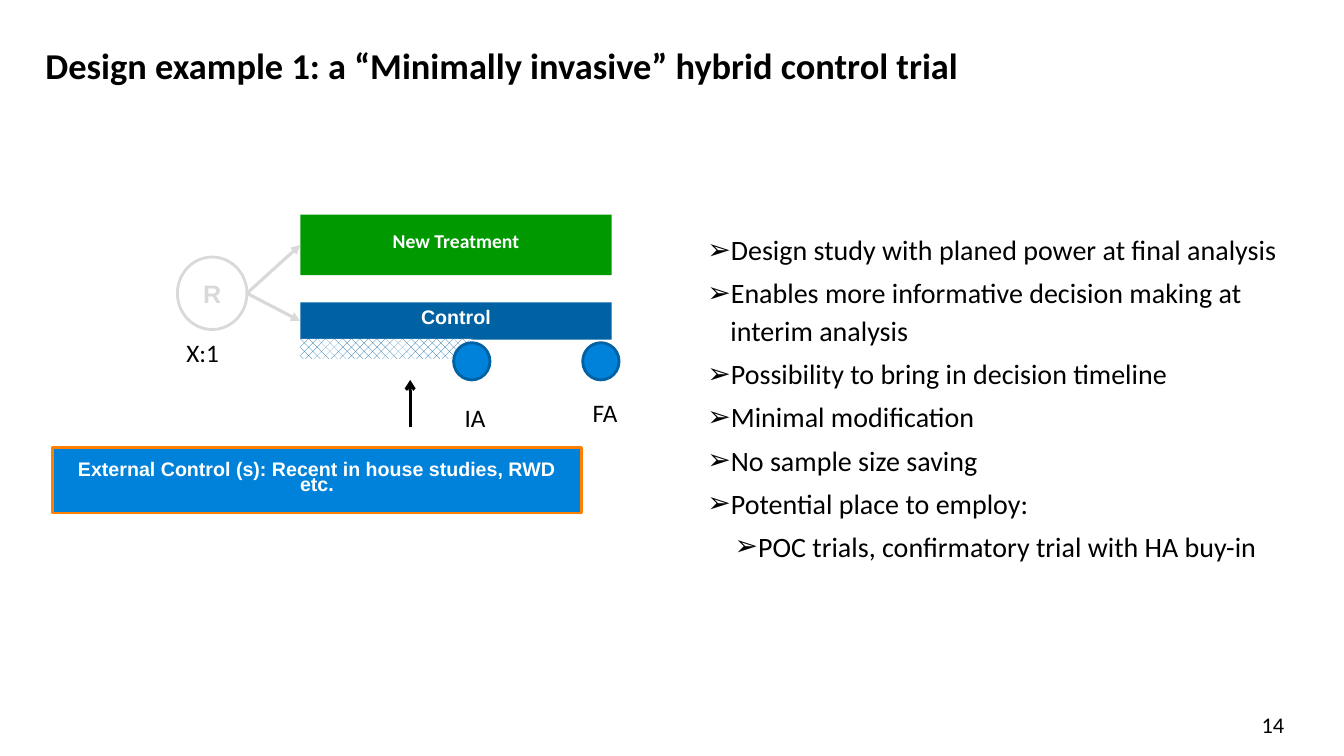
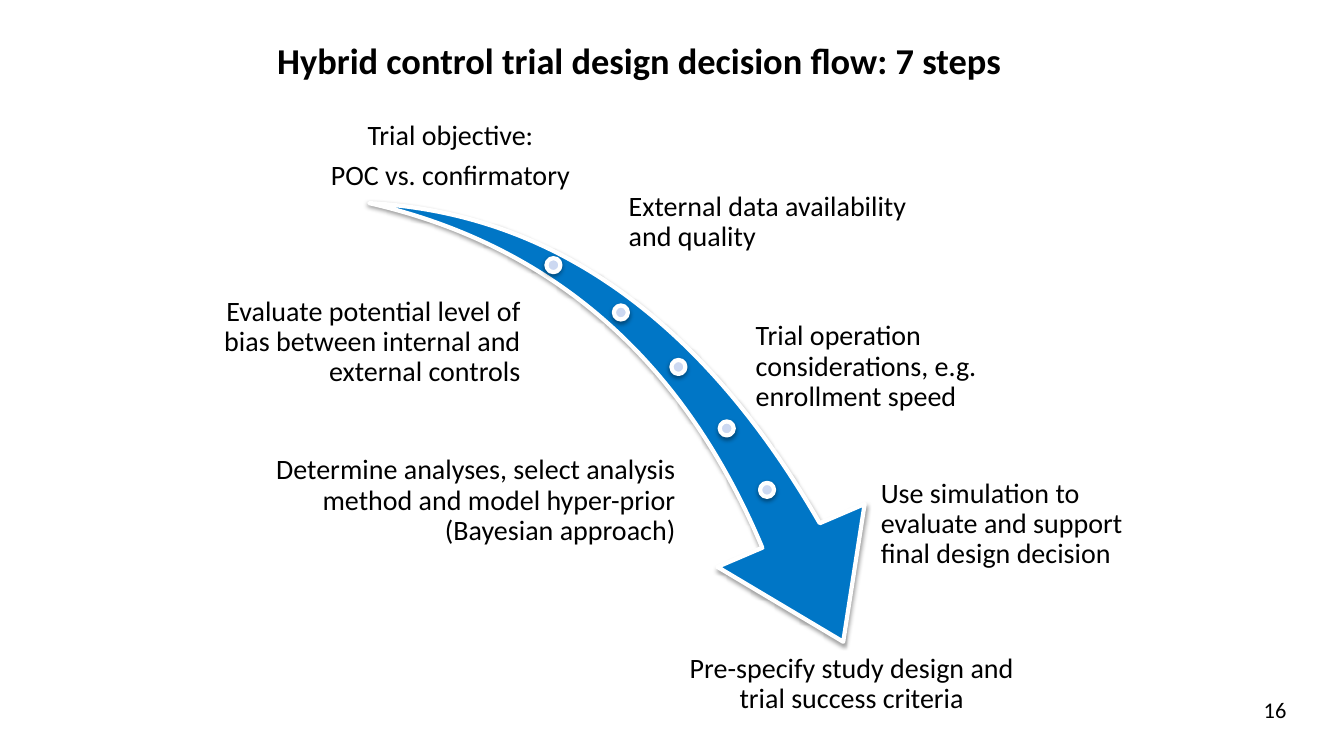
from lxml import etree
from pptx import Presentation
from pptx.dml.color import RGBColor
from pptx.enum.dml import MSO_PATTERN
from pptx.enum.shapes import MSO_CONNECTOR, MSO_SHAPE
from pptx.enum.text import MSO_ANCHOR, PP_ALIGN
from pptx.oxml.ns import qn
from pptx.util import Pt

RECT, ELLIPSE, SWOOSH = MSO_SHAPE.RECTANGLE, MSO_SHAPE.OVAL, MSO_SHAPE.SWOOSH_ARROW
STRAIGHT = MSO_CONNECTOR.STRAIGHT
LEFT, CENTER, RIGHT = PP_ALIGN.LEFT, PP_ALIGN.CENTER, PP_ALIGN.RIGHT
TOP, MIDDLE, BOTTOM = MSO_ANCHOR.TOP, MSO_ANCHOR.MIDDLE, MSO_ANCHOR.BOTTOM
HATCH = MSO_PATTERN.from_xml("pct40")
LEFT_SIDE = 1

BLACK = RGBColor(0x00, 0x00, 0x00)
WHITE = RGBColor(0xFF, 0xFF, 0xFF)
PALE_GRAY = RGBColor(0xD9, 0xD9, 0xD9)
GREEN = RGBColor(0x00, 0x99, 0x00)
DARK_BLUE = RGBColor(0x00, 0x61, 0xA3)
BRIGHT_BLUE = RGBColor(0x00, 0x82, 0xDA)
SWOOSH_BLUE = RGBColor(0x00, 0x76, 0xC6)
DOT_BLUE = RGBColor(0xCC, 0xD8, 0xF1)
ORANGE = RGBColor(0xFF, 0x7F, 0x00)

TITLE_FONT = {"name": "Calibri", "size": Pt(26), "bold": True}
BODY_FONT = {"name": "Calibri", "size": Pt(20)}
LABEL_FONT = {"name": "Calibri", "size": Pt(18)}
NUMBER_FONT = {"name": "Calibri", "size": Pt(16)}
CIRCLE_FONT = {"name": "Arial", "size": Pt(18), "bold": True}
BAR_FONT = {"name": "Arial", "size": Pt(14), "bold": True}
TREATMENT_FONT = {**BAR_FONT, "name": "Calibri"}

BAR_PARAGRAPH = {"alignment": CENTER, "line_spacing": Pt(11)}
BULLET_PARAGRAPH = {"line_spacing": 1.12}
STEP_PARAGRAPH = {"line_spacing": 0.9, "space_after": Pt(7)}

BULLET_HANG = 16.5
BULLET_LEFT = (16.5, 36)

BENEFITS = [
    ("Design study with planed power at final analysis", 0),
    ("Enables more informative decision making at interim analysis", 0),
    ("Possibility to bring in decision timeline", 0),
    ("Minimal modification", 0),
    ("No sample size saving", 0),
    ("Potential place to employ:", 0),
    ("POC trials, confirmatory trial with HA buy-in", 1),
]

# paragraphs, left, top, width, height, alignment, anchor
STEPS = [
    (["Trial objective:", "POC vs. confirmatory"], 228.2, 65.5, 187.2, 73.4, CENTER, BOTTOM),
    (["External data availability and quality"], 447.1, 122.4, 204.5, 73.4, LEFT, MIDDLE),
    (["Evaluate potential level of bias between internal and external controls"],
     134, 208, 239.8, 73.4, RIGHT, MIDDLE),
    (["Trial operation considerations, e.g. enrollment speed"],
     537.8, 225.4, 198, 73.4, LEFT, MIDDLE),
    (["Determine analyses, select analysis method and model hyper-prior (Bayesian approach)"],
     185, 321.1, 299.5, 73.4, RIGHT, MIDDLE),
    (["Use simulation to evaluate and support final design decision"],
     627.1, 337.7, 186.5, 73.4, LEFT, MIDDLE),
    (["Pre-specify study design and trial success criteria"],
     481.7, 465.1, 253.4, 48.2, CENTER, TOP),
]

DOT_SIZE = 10
DOT_CENTERS = [(395.3, 189.4), (443.5, 223.2), (484.6, 262.1), (519.1, 306), (547.9, 349.9)]


def apply_format(target, values):
    for attribute, value in values.items():
        setattr(target, attribute, value)


def write_text(shape, texts, font, color=BLACK, paragraph_format=None,
               anchor=TOP, inset_x=7.2, inset_y=3.6):
    """Write one paragraph per text and return the paragraphs."""
    frame = shape.text_frame
    apply_format(frame, {
        "word_wrap": True, "vertical_anchor": anchor,
        "margin_left": Pt(inset_x), "margin_right": Pt(inset_x),
        "margin_top": Pt(inset_y), "margin_bottom": Pt(inset_y),
    })
    for index, text in enumerate(texts):
        paragraph = frame.add_paragraph() if index else frame.paragraphs[0]
        run = paragraph.add_run()
        run.text = text
        apply_format(paragraph, paragraph_format or {})
        apply_format(run.font, font)
        run.font.color.rgb = color
    return frame.paragraphs


def add_text(slide, box, texts, font, **options):
    text_box = slide.shapes.add_textbox(*map(Pt, box))
    return write_text(text_box, texts, font, **options)


def add_figure(slide, preset, box, fill=None, outline=None, outline_width=2):
    figure = slide.shapes.add_shape(preset, *map(Pt, box))
    figure.shadow.inherit = False
    if fill is None:
        figure.fill.background()
    else:
        figure.fill.solid()
        figure.fill.fore_color.rgb = fill
    if outline is None:
        figure.line.fill.background()
    else:
        figure.line.color.rgb = outline
        figure.line.width = Pt(outline_width)
    return figure


def add_bar(slide, box, text, fill, font=BAR_FONT, outline=None):
    bar = add_figure(slide, RECT, box, fill, outline)
    write_text(bar, [text], font, WHITE, BAR_PARAGRAPH, MIDDLE)
    return bar


def add_arrow(slide, start, end, color, head, target=None):
    arrow = slide.shapes.add_connector(STRAIGHT, *map(Pt, (*start, *end)))
    if target is not None:
        arrow.end_connect(target, LEFT_SIDE)
    arrow.line.color.rgb = color
    arrow.line.width = Pt(2.25)
    properties = arrow._element.spPr
    etree.SubElement(properties.find(qn("a:ln")), qn("a:tailEnd"), type=head)
    etree.SubElement(properties, qn("a:effectLst"))


def add_soft_shadow(figure):
    effects = figure._element.spPr.find(qn("a:effectLst"))
    shadow = etree.SubElement(
        effects, qn("a:outerShdw"), blurRad=str(Pt(3.1)), dist=str(Pt(1.6)),
        dir="5400000", rotWithShape="0")
    shade = etree.SubElement(shadow, qn("a:srgbClr"), val=str(BLACK))
    etree.SubElement(shade, qn("a:alpha"), val="38000")


def add_bullet(paragraph, level):
    properties = paragraph._p.get_or_add_pPr()
    properties.set("marL", str(Pt(BULLET_LEFT[level])))
    properties.set("indent", str(Pt(-BULLET_HANG)))
    etree.SubElement(properties, qn("a:buFont"), typeface="Arial")
    etree.SubElement(properties, qn("a:buChar"), char="➢")


def add_titled_slide(deck, title, title_box, number, number_corner):
    slide = deck.slides.add_slide(deck.slide_layouts[6])
    add_text(slide, title_box, [title], TITLE_FONT, inset_x=0, inset_y=0)
    add_text(slide, (*number_corner, 877, 15), [number], NUMBER_FONT,
             paragraph_format={"alignment": RIGHT}, inset_x=0, inset_y=0)
    return slide


def build_design_example(deck):
    slide = add_titled_slide(
        deck, "Design example 1: a “Minimally invasive” hybrid control trial",
        (32.4, 31, 867.6, 56.9), "14", (40.3, 507.6))

    control = add_bar(slide, (214.5, 216, 222.5, 26.6), "Control", DARK_BLUE)
    treatment = add_bar(slide, (214.5, 153.4, 222.5, 43.2), "New Treatment",
                        GREEN, TREATMENT_FONT)
    randomization = add_figure(slide, ELLIPSE, (126.7, 183.6, 49.7, 51.8),
                               outline=PALE_GRAY)
    write_text(randomization, ["R"], CIRCLE_FONT, PALE_GRAY,
               {"alignment": CENTER}, MIDDLE, 0, 4.3)
    for arm in (control, treatment):
        add_arrow(slide, (176.4, 209.5), (214.5, 209.5), PALE_GRAY, "triangle", arm)

    add_bar(slide, (37.4, 319.7, 378, 46.8),
            "External Control (s): Recent in house studies, RWD etc.",
            BRIGHT_BLUE, outline=ORANGE)
    add_arrow(slide, (293, 305.3), (293, 271.4), BLACK, "arrow")

    borrowed_data = add_figure(slide, RECT, (214.5, 242, 123, 14.4))
    borrowed_data.fill.patterned()
    borrowed_data.fill.pattern = HATCH
    borrowed_data.fill.fore_color.rgb = DARK_BLUE
    borrowed_data.fill.back_color.rgb = WHITE

    for analysis_left in (324, 416.2):
        add_figure(slide, ELLIPSE, (analysis_left, 244.8, 26, 26.6),
                   BRIGHT_BLUE, DARK_BLUE)
    for label, left, top, width in (("X:1", 126, 237.6, 95), ("IA", 324.7, 283.7, 34),
                                    ("FA", 416.2, 280, 41.8)):
        add_text(slide, (left, top, width, 28.8), [label], LABEL_FONT)

    benefits = add_text(slide, (498.2, 159.8, 439.2, 247), [text for text, _ in BENEFITS],
                        BODY_FONT, paragraph_format=BULLET_PARAGRAPH)
    for index, (paragraph, (_, level)) in enumerate(zip(benefits, BENEFITS)):
        if index:
            paragraph.space_before = Pt(4)
        add_bullet(paragraph, level)


def build_decision_flow(deck):
    slide = add_titled_slide(
        deck, "Hybrid control trial design decision flow: 7 steps",
        (198, 27.4, 535.7, 38.2), "16", (41.8, 497.5))

    swoosh = add_figure(slide, SWOOSH, (254.9, 157, 397.4, 277.2), SWOOSH_BLUE, WHITE, 3)
    swoosh.rotation = 73.3
    swoosh.adjustments[0] = 0.16
    swoosh.adjustments[1] = 0.31
    add_soft_shadow(swoosh)
    for x, y in DOT_CENTERS:
        dot = add_figure(slide, ELLIPSE,
                         (x - DOT_SIZE / 2, y - DOT_SIZE / 2, DOT_SIZE, DOT_SIZE),
                         DOT_BLUE, WHITE, 3)
        add_soft_shadow(dot)

    for texts, left, top, width, height, alignment, anchor in STEPS:
        add_text(slide, (left, top, width, height), texts, BODY_FONT,
                 paragraph_format={**STEP_PARAGRAPH, "alignment": alignment},
                 anchor=anchor, inset_x=2, inset_y=2)


def main():
    deck = Presentation()
    deck.slide_width, deck.slide_height = Pt(960), Pt(540)
    build_design_example(deck)
    build_decision_flow(deck)
    deck.save("out.pptx")


if __name__ == "__main__":
    main()
